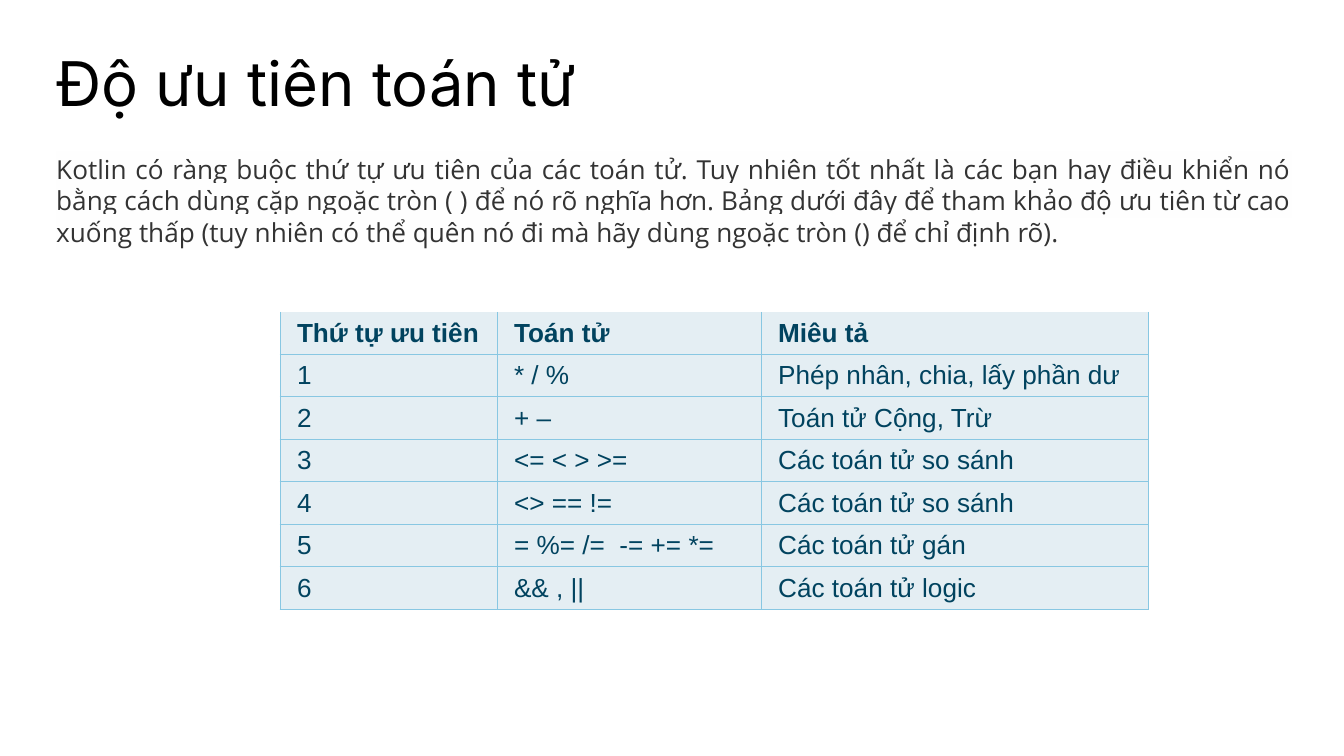
from lxml.etree import SubElement
from pptx import Presentation
from pptx.dml.color import RGBColor
from pptx.enum.text import MSO_ANCHOR as Anchor, MSO_AUTO_SIZE as AutoSize, PP_ALIGN as Align
from pptx.oxml.ns import qn
from pptx.util import Pt

TITLE = "Độ ưu tiên toán tử"
INTRO = (
    "Kotlin có ràng buộc thứ tự ưu tiên của các toán tử. Tuy nhiên tốt nhất là các bạn "
    "hay điều khiển nó bằng cách dùng cặp ngoặc tròn ( ) để nó rõ nghĩa hơn. Bảng dưới đây "
    "để tham khảo độ ưu tiên từ cao xuống thấp (tuy nhiên có thể quên nó đi mà hãy dùng "
    "ngoặc tròn () để chỉ định rõ)."
)
PRECEDENCE = [
    ("Thứ tự ưu tiên", "Toán tử", "Miêu tả"),
    ("1", "* / %", "Phép nhân, chia, lấy phần dư"),
    ("2", "+ –", "Toán tử Cộng, Trừ"),
    ("3", "<= < > >=", "Các toán tử so sánh"),
    ("4", "<> == !=", "Các toán tử so sánh"),
    ("5", "= %= /=  -= += *=", "Các toán tử gán"),
    ("6", "&& , ||", "Các toán tử logic"),
]
COLUMN_WIDTHS = [323, 393, 576]
TABLE_LEFT, TABLE_TOP, TABLE_HEIGHT = 417, 464, 443
BORDER, CELL_FILL, CELL_TEXT = "88C7E2", "E4EEF3", "01435F"
PX = 4572


def px(length):
    return round(length * PX)


def color(value):
    return RGBColor.from_string(value)


def place(shape, left, top, width, height):
    shape.left, shape.top = px(left), px(top)
    shape.width, shape.height = px(width), px(height)


def style(font, name, size, value, bold=False):
    font.size, font.bold = Pt(size), bold
    font.color.rgb = color(value)
    font.name = name


def add_title(slide):
    title = slide.shapes.title
    place(title, 64, 64, 1860, 100)
    frame = title.text_frame
    frame.text = TITLE
    frame.auto_size = AutoSize.NONE
    frame.word_wrap = True
    frame.vertical_anchor = Anchor.TOP
    frame.margin_left = frame.margin_right = px(20)
    frame.margin_top = frame.margin_bottom = px(20)
    para = frame.paragraphs[0]
    para.alignment, para.line_spacing = Align.LEFT, 0.85
    style(para.font, "Inter", 33, "000000")


def add_intro(slide):
    box = slide.shapes.add_textbox(px(64), px(218), px(1878), px(162))
    frame = box.text_frame
    frame.word_wrap = True
    frame.auto_size = AutoSize.SHAPE_TO_FIT_TEXT
    para = frame.paragraphs[0]
    para.alignment = Align.JUSTIFY
    span = para.add_run()
    span.text = INTRO
    span.font.color.rgb = color("333333")
    highlight = SubElement(span.font._element, qn("a:highlight"))
    SubElement(highlight, qn("a:srgbClr"), val="FEFEFE")
    style(span.font, "Open Sans", 14, "333333")


def set_borders(cell, is_header):
    properties = cell._tc.get_or_add_tcPr()
    for side in "LRTB":
        line = SubElement(properties, qn(f"a:ln{side}"), w=str(Pt(0.75)))
        if is_header and side == "T":
            SubElement(line, qn("a:noFill"))
        else:
            fill = SubElement(line, qn("a:solidFill"))
            SubElement(fill, qn("a:srgbClr"), val=BORDER)


def add_precedence_table(slide):
    frame = slide.shapes.add_table(
        len(PRECEDENCE), len(COLUMN_WIDTHS), px(TABLE_LEFT), px(TABLE_TOP),
        px(sum(COLUMN_WIDTHS)), px(TABLE_HEIGHT),
    )
    table = frame.table
    table.horz_banding = False
    for column, width in zip(table.columns, COLUMN_WIDTHS):
        column.width = px(width)
    for row_index, texts in enumerate(PRECEDENCE):
        is_header = row_index == 0
        table.rows[row_index].height = px(TABLE_HEIGHT / len(PRECEDENCE))
        for column_index, text in enumerate(texts):
            cell = table.cell(row_index, column_index)
            cell.text = text
            cell.vertical_anchor = Anchor.MIDDLE
            cell.margin_left = cell.margin_right = px(25)
            cell.margin_top = cell.margin_bottom = px(8)
            set_borders(cell, is_header)
            cell.fill.solid()
            cell.fill.fore_color.rgb = color(CELL_FILL)
            style(cell.text_frame.paragraphs[0].font, "Arial", 14, CELL_TEXT, is_header)


def main():
    deck = Presentation()
    deck.slide_width, deck.slide_height = px(2000), px(1125)
    slide = deck.slides.add_slide(deck.slide_layouts[5])
    add_title(slide)
    add_intro(slide)
    add_precedence_table(slide)
    deck.save("out.pptx")


if __name__ == "__main__":
    main()
